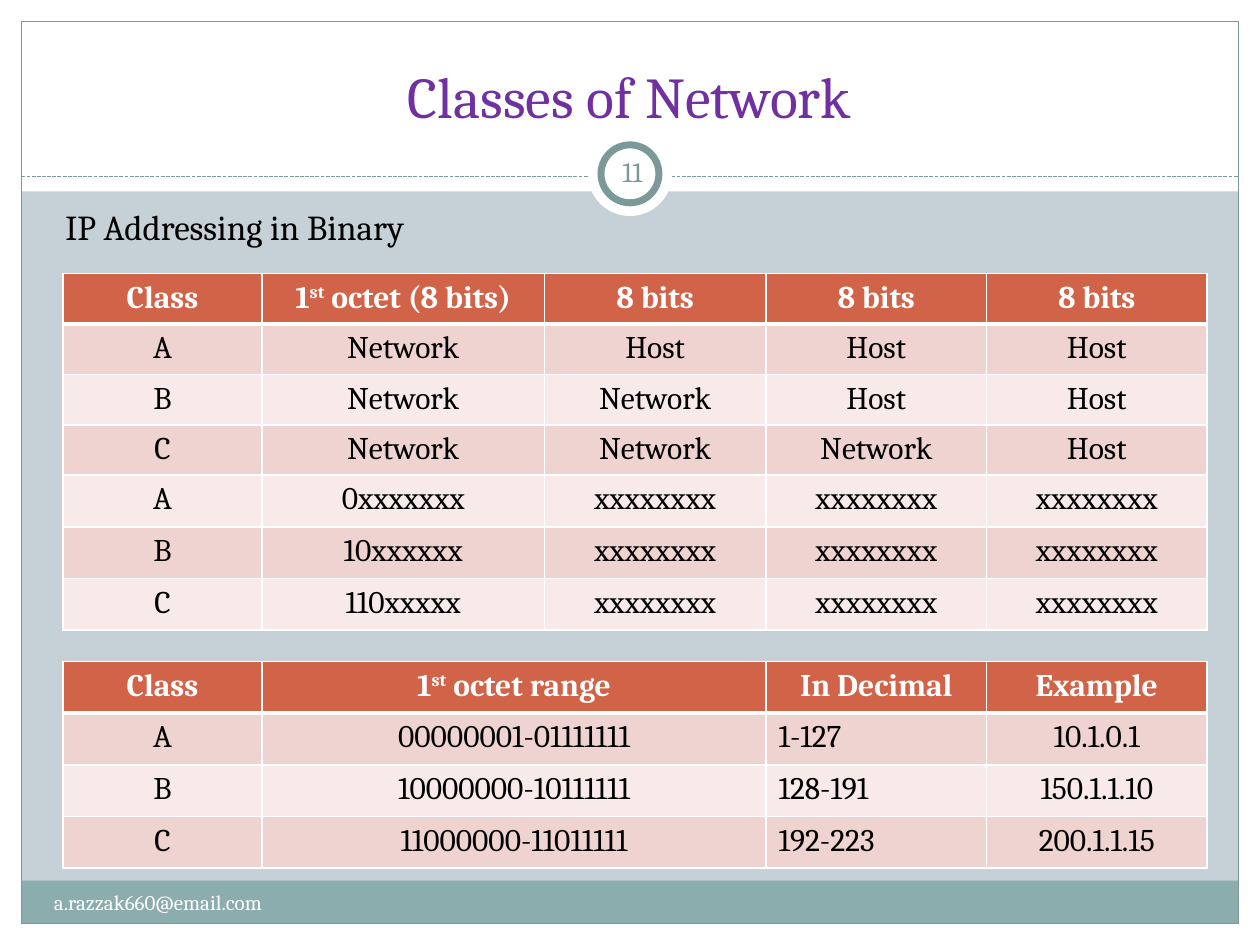
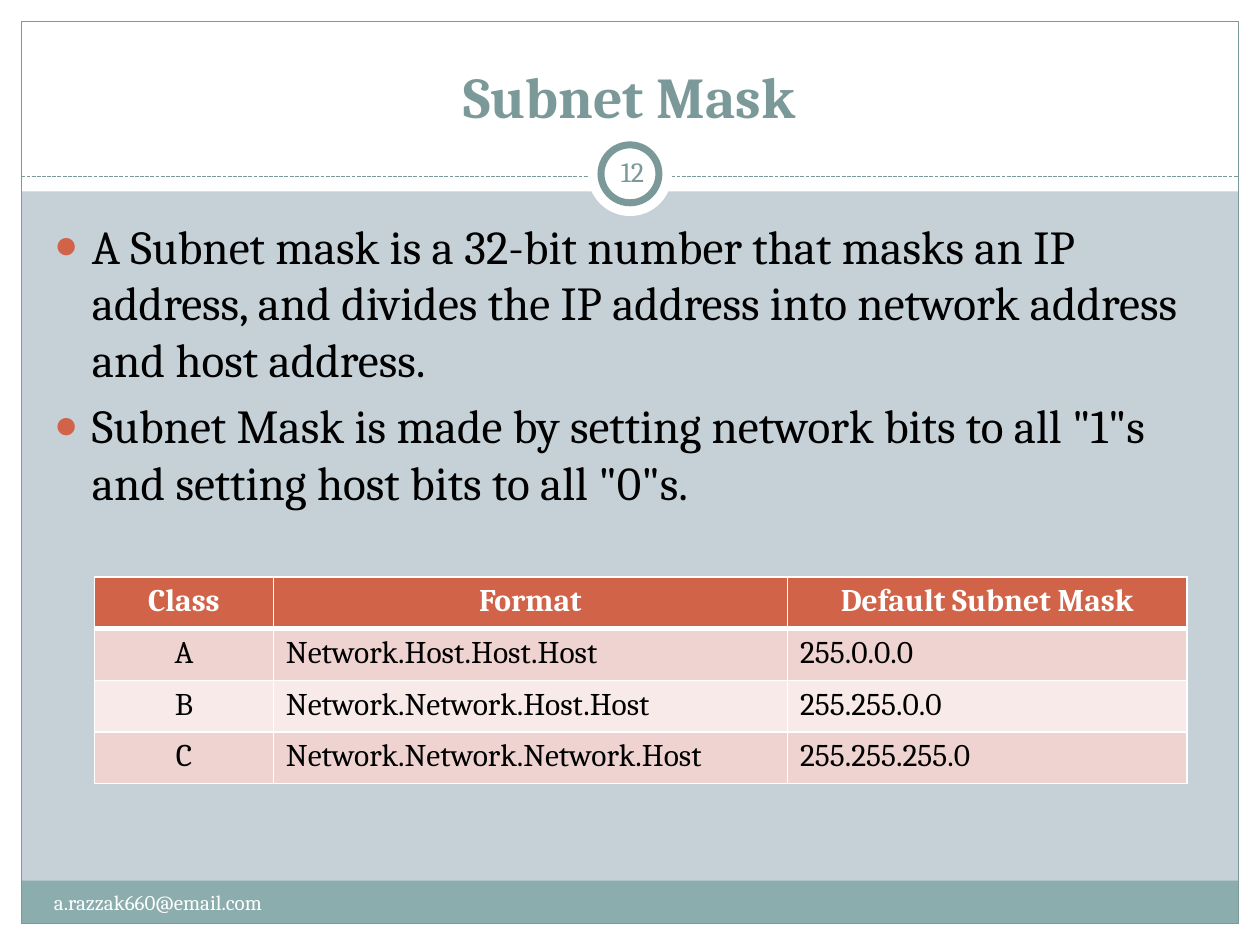
import lxml.etree
import pptx
import pptx.dml.color
import pptx.enum.dml
import pptx.enum.shapes
import pptx.enum.text
import pptx.oxml.ns
import pptx.util

Inches = pptx.util.Inches
Pt = pptx.util.Pt
qn = pptx.oxml.ns.qn
ALIGN = pptx.enum.text.PP_ALIGN
ANCHOR = pptx.enum.text.MSO_ANCHOR
SHAPE = pptx.enum.shapes.MSO_SHAPE

FONT = "Cambria"
WHITE, BLACK = "FFFFFF", "000000"
SLATE, TEAL, PALE = "7C999A", "8CADAE", "C5D1D7"
RUST, ROSE, BLUSH = "D16349", "EED3D0", "F7EAE9"
PURPLE = "7030A0"
WIDE, HIGH, EDGE = 10, 7.5, 0.17
MAIL = "a.razzak660@email.com"


def color(code):
    return pptx.dml.color.RGBColor.from_string(code)


def box(left, top, width, height):
    return [Inches(side) for side in (left, top, width, height)]


def write(para, text, size, code, bold=False, raised=False):
    run = para.add_run()
    run.text = text
    run.font.name = FONT
    run.font.size = Pt(size)
    run.font.bold = bold
    run.font.color.rgb = color(code)
    if raised:
        run._r.get_or_add_rPr().set("baseline", "30000")


def label(slide, area, text, size, code):
    shape = slide.shapes.add_textbox(*box(*area))
    frame = shape.text_frame
    frame.word_wrap = True
    write(frame.paragraphs[0], text, size, code)
    return frame


def form(slide, kind, area, fill=None, line=None, weight=0.75):
    shape = slide.shapes.add_shape(kind, *box(*area))
    shape.shadow.inherit = False
    if fill:
        shape.fill.solid()
        shape.fill.fore_color.rgb = color(fill)
    else:
        shape.fill.background()
    if line:
        shape.line.color.rgb = color(line)
        shape.line.width = Pt(weight)
    else:
        shape.line.fill.background()
    return shape


def rule(slide, left, top, width):
    line = slide.shapes.add_connector(
        pptx.enum.shapes.MSO_CONNECTOR.STRAIGHT,
        Inches(left), Inches(top), Inches(left + width), Inches(top))
    line.line.color.rgb = color(SLATE)
    line.line.width = Pt(0.75)
    line.line.dash_style = pptx.enum.dml.MSO_LINE.SQUARE_DOT
    lxml.etree.SubElement(line.element.spPr, qn("a:effectLst"))
    return line


def disc(slide, mid, center, size, line=None):
    area = (mid - size / 2, center - size / 2, size, size)
    return form(slide, SHAPE.OVAL, area, WHITE, line, 4)


def backdrop(deck, slide):
    master = deck.slide_master
    master.background.fill.solid()
    master.background.fill.fore_color.rgb = color(PALE)
    inner = WIDE - 2 * EDGE
    bands = [
        (0, HIGH - EDGE, WIDE, EDGE),
        (0, 0, WIDE, 1.52),
        (0, 0, EDGE, HIGH),
        (WIDE - EDGE, 0, EDGE, HIGH),
    ]
    parts = [form(slide, SHAPE.RECTANGLE, area, WHITE) for area in bands]
    parts += [
        form(slide, SHAPE.RECTANGLE, (EDGE, 6.99, inner, 0.34), TEAL),
        form(slide, SHAPE.RECTANGLE, (EDGE, EDGE, inner, HIGH - 2 * EDGE),
             line=SLATE),
        rule(slide, EDGE, 1.4, inner),
        disc(slide, WIDE / 2, 1.38, 0.67),
        disc(slide, WIDE / 2, 1.38, 0.46, SLATE),
    ]
    for number, part in enumerate(parts, 100):
        part.element.xpath(".//p:cNvPr")[0].set("id", str(number))
        master.shapes.element.append(part.element)


def header(slide, area, text, code, number, bold=False):
    left, top, width, height = area
    title = slide.shapes.title
    title.left, title.top, title.width, title.height = box(*area)
    frame = title.text_frame
    frame.vertical_anchor = ANCHOR.BOTTOM
    frame.paragraphs[0].alignment = ALIGN.CENTER
    write(frame.paragraphs[0], text, 33, code, bold)
    badge = label(slide, (left + 4.44, top + 0.87, 0.5, 0.48),
                  str(number), 16, SLATE)
    badge.vertical_anchor = ANCHOR.MIDDLE
    badge.paragraphs[0].alignment = ALIGN.CENTER
    badge.margin_left = badge.margin_right = Inches(0.05)
    badge.margin_top = badge.margin_bottom = Inches(0.05)


def footer(slide, area):
    label(slide, area, MAIL, 12, WHITE)


def bullets(slide, area, items):
    body = slide.placeholders[1]
    body.left, body.top, body.width, body.height = box(*area)
    frame = body.text_frame
    for index, item in enumerate(items):
        para = frame.add_paragraph() if index else frame.paragraphs[0]
        props = para._p.get_or_add_pPr()
        props.set("marL", str(Inches(0.3)))
        props.set("indent", str(-Inches(0.3)))
        tint = lxml.etree.SubElement(props, qn("a:buClr"))
        lxml.etree.SubElement(tint, qn("a:srgbClr"), val=RUST)
        lxml.etree.SubElement(props, qn("a:buSzPct"), val="85000")
        lxml.etree.SubElement(props, qn("a:buChar"), char="●")
        write(para, item, 27, BLACK)


def border(cell, top, bottom):
    props = cell._tc.get_or_add_tcPr()
    sides = [("L", 1), ("R", 1), ("T", top), ("B", bottom)]
    for index, (side, weight) in enumerate(sides):
        line = lxml.etree.Element(qn("a:ln" + side), w=str(Pt(weight)))
        fill = lxml.etree.SubElement(line, qn("a:solidFill"))
        lxml.etree.SubElement(fill, qn("a:srgbClr"), val=WHITE)
        props.insert(index, line)


def grid(slide, left, top, widths, heights, rows, flush=()):
    area = box(left, top, sum(widths), sum(heights))
    table = slide.shapes.add_table(len(rows), len(widths), *area).table
    for column, width in zip(table.columns, widths):
        column.width = Inches(width)
    for r, (height, row) in enumerate(zip(heights, rows)):
        table.rows[r].height = Inches(height)
        head = r == 0
        for c, text in enumerate(row):
            cell = table.cell(r, c)
            cell.fill.solid()
            shade = RUST if head else ROSE if r % 2 else BLUSH
            cell.fill.fore_color.rgb = color(shade)
            border(cell, 3 if r == 1 else 1, 3 if head else 1)
            para = cell.text_frame.paragraphs[0]
            if head or c not in flush:
                para.alignment = ALIGN.CENTER
            for index, part in enumerate(text.split("^")):
                write(para, part, 18, WHITE if head else BLACK,
                      head, index == 1)


def classes(slide, left, top):
    label(slide, (left - 0.08, top, 5.17, 0.44),
          "IP Addressing in Binary", 20, BLACK)
    net, host, bits = "Network", "Host", "x" * 8
    octets = [
        ["Class", "1^st^ octet (8 bits)"] + ["8 bits"] * 3,
        ["A", net, host, host, host],
        ["B", net, net, host, host],
        ["C", net, net, net, host],
    ]
    for name, lead in zip("ABC", ("0", "10", "110")):
        octets.append([name, lead.ljust(8, "x")] + [bits] * 3)
    grid(slide, left, top + 0.59, [1.58, 2.24, 1.76, 1.75, 1.75],
         [0.39] * 4 + [0.41] * 3, octets)
    ranges = [
        ["Class", "1^st^ octet range", "In Decimal", "Example"],
        ["A", "00000001-01111111", "1-127", "10.1.0.1"],
        ["B", "10000000-10111111", "128-191", "150.1.1.10"],
        ["C", "11000000-11011111", "192-223", "200.1.1.15"],
    ]
    grid(slide, left, top + 3.67, [1.58, 4, 1.75, 1.75],
         [0.41] * 4, ranges, flush=[2])


def masks(slide, left, top):
    bullets(slide, (left, top, 9.3, 5), [
        "A Subnet mask is a 32-bit number that masks an IP address, "
        "and divides the IP address into network address and host address.",
        "Subnet Mask is made by setting network bits to all \"1\"s "
        "and setting host bits to all \"0\"s.",
    ])
    rows = [["Class", "Format", "Default Subnet Mask"]]
    for count, name in enumerate("ABC", 1):
        rest = 4 - count
        rows.append([
            name,
            ".".join(["Network"] * count + ["Host"] * rest),
            ".".join(["255"] * count + ["0"] * rest),
        ])
    grid(slide, left + 0.42, top + 2.91, [1.42, 4.08, 3.17],
         [0.41] * 4, rows, flush=[1, 2])


deck = pptx.Presentation()
deck.slide_width, deck.slide_height = Inches(WIDE), Inches(HIGH)
first = deck.slides.add_slide(deck.slide_layouts[5])
second = deck.slides.add_slide(deck.slide_layouts[1])
backdrop(deck, first)
banner, foot = (0.33, 0.25, 9.33, 0.83), (0.33, 7.01, 3.92, 0.4)

header(first, banner, "Classes of Network", PURPLE, 11)
classes(first, 0.5, 1.58)
footer(first, foot)

header(second, banner, "Subnet Mask", SLATE, 12, bold=True)
masks(second, 0.33, 1.67)
footer(second, foot)

deck.save("out.pptx")
